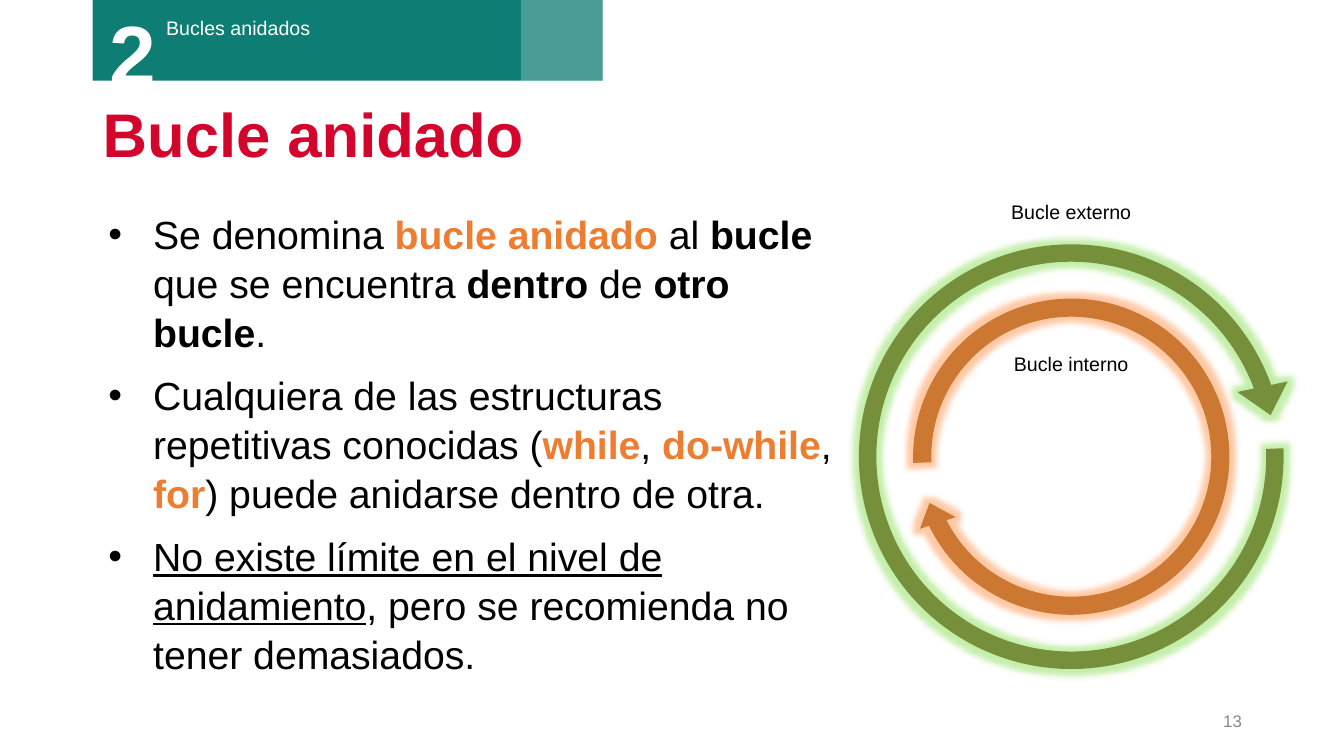
from lxml.etree import SubElement
from pptx import Presentation
from pptx.dml.color import RGBColor
from pptx.enum.shapes import MSO_SHAPE
from pptx.enum.text import MSO_ANCHOR, MSO_AUTO_SIZE, PP_ALIGN
from pptx.oxml.ns import qn
from pptx.util import Pt

WHITE = RGBColor(0xFF, 0xFF, 0xFF)
BLACK = RGBColor(0, 0, 0)
TEAL = RGBColor(0x0E, 0x7D, 0x73)
RED = RGBColor(0xD3, 0x05, 0x2C)
ORANGE = RGBColor(0xED, 0x7D, 0x31)
GREY = RGBColor(0x88, 0x88, 0x88)
OLIVE = RGBColor(0x75, 0x8F, 0x3A)
COPPER = RGBColor(0xCC, 0x78, 0x32)
GREEN_GLOW = RGBColor(0x6F, 0xD6, 0x2E)
ORANGE_GLOW = RGBColor(0xFF, 0x78, 0x1F)


def add_figure(shapes, kind, left, top, width, height, color):
    figure = shapes.add_shape(kind, Pt(left), Pt(top), Pt(width), Pt(height))
    figure.shadow.inherit = False
    figure.fill.solid()
    figure.fill.fore_color.rgb = color
    figure.line.fill.background()
    return figure


def add_label(shapes, text, left, top, width, height, size, color,
              align=PP_ALIGN.LEFT, wrap=True):
    box = shapes.add_textbox(Pt(left), Pt(top), Pt(width), Pt(height))
    box.text_frame.word_wrap = wrap
    para = box.text_frame.paragraphs[0]
    para.text = text
    para.alignment = align
    para.font.name = "Arial"
    para.font.size = Pt(size)
    para.font.color.rgb = color
    return box


deck = Presentation()
deck.slide_width, deck.slide_height = Pt(960), Pt(540)
page = deck.slides.add_slide(deck.slide_layouts[1])

# Section header
header = page.shapes.add_group_shape().shapes
add_figure(header, MSO_SHAPE.RECTANGLE, 66.2, 0, 364.3, 57.6, TEAL)
add_label(header, "Bucles anidados", 111.6, 7.9, 198, 24.5, 14, WHITE)
number = add_label(header, "2", 71.3, -2.2, 80.6, 80, 60, WHITE)
number.text_frame.paragraphs[0].font.bold = True
veil = add_figure(header, MSO_SHAPE.RECTANGLE, 372.2, 0, 58.3, 57.6, WHITE)
veil_color = veil.fill._xPr.find(qn("a:solidFill"))[0]
SubElement(veil_color, qn("a:alpha"), val="25000")

# Title
title = page.shapes.title
title.left, title.top, title.width, title.height = Pt(66.2), Pt(67), Pt(828), Pt(62)
title.text_frame.text = "Bucle anidado"
title.text_frame.vertical_anchor = MSO_ANCHOR.MIDDLE
title.text_frame.auto_size = MSO_AUTO_SIZE.NONE
para = title.text_frame.paragraphs[0]
para.alignment = PP_ALIGN.LEFT
para.line_spacing = 0.9
para.font.name = "Arial"
para.font.size = Pt(44)
para.font.bold = True
para.font.color.rgb = RED

# Bullet list: each span has its text and a style
bullets = [
    [("Se denomina ", ""), ("bucle anidado ", "key"), ("al ", ""), ("bucle", "bold"),
     (" que se encuentra ", ""), ("dentro", "bold"), (" de ", ""),
     ("otro bucle", "bold"), (".", "")],
    [("Cualquiera de las estructuras repetitivas conocidas (", ""), ("while", "key"),
     (", ", ""), ("do-while", "key"), (", ", ""), ("for", "key"),
     (") puede anidarse dentro de otra.", "")],
    [("No existe límite en el nivel de anidamiento", "underline"),
     (", pero se recomienda no tener demasiados.", "")],
]
body = page.placeholders[1]
body.left, body.top, body.width, body.height = Pt(66.2), Pt(145.4), Pt(546.5), Pt(344.2)
body.text_frame.auto_size = MSO_AUTO_SIZE.NONE
for index, spans in enumerate(bullets):
    para = body.text_frame.paragraphs[0] if index == 0 else body.text_frame.add_paragraph()
    para.space_before = Pt(10)
    para.line_spacing = 1.04
    para.font.name = "Arial"
    para.font.size = Pt(28)
    para.font.color.rgb = BLACK
    properties = para._p.get_or_add_pPr()
    properties.set("marL", str(Pt(36)))
    properties.set("indent", str(Pt(-32)))
    for text, style in spans:
        span = para.add_run()
        span.text = text
        if style in ("key", "bold"):
            span.font.bold = True
        if style == "key":
            span.font.color.rgb = ORANGE
        if style == "underline":
            span.font.underline = True

# Loop arrows around a common centre, each with a glow
center_x, center_y = 765.2, 326.2
loops = [
    (327.6, 0, (0.038, 4.99, 203.95, 214.64, 0.056), OLIVE, GREEN_GLOW),
    (239.8, 180, (0.054, 4.99, 200.16, 214.64, 0.056), COPPER, ORANGE_GLOW),
]
for size, rotation, adjustments, color, glow_color in loops:
    arrow = add_figure(page.shapes, MSO_SHAPE.CIRCULAR_ARROW,
                       center_x - size / 2, center_y - size / 2, size, size, color)
    arrow.rotation = rotation
    for index, value in enumerate(adjustments):
        arrow.adjustments[index] = value
    effects = arrow._element.spPr.find(qn("a:effectLst"))
    glow = SubElement(effects, qn("a:glow"), rad=str(Pt(8)))
    tint = SubElement(glow, qn("a:srgbClr"), val=str(glow_color))
    SubElement(tint, qn("a:alpha"), val="40000")

# Loop names
for text, top in [("Bucle externo", 139), ("Bucle interno", 247.7)]:
    add_label(page.shapes, text, center_x - 50, top, 100, 24.5, 14, BLACK,
              PP_ALIGN.CENTER, wrap=False)

# Page number
page_number = add_label(page.shapes, "13", 678.2, 500.4, 216, 28.8, 12, GREY, PP_ALIGN.RIGHT)
page_number.text_frame.vertical_anchor = MSO_ANCHOR.MIDDLE

deck.save("out.pptx")
